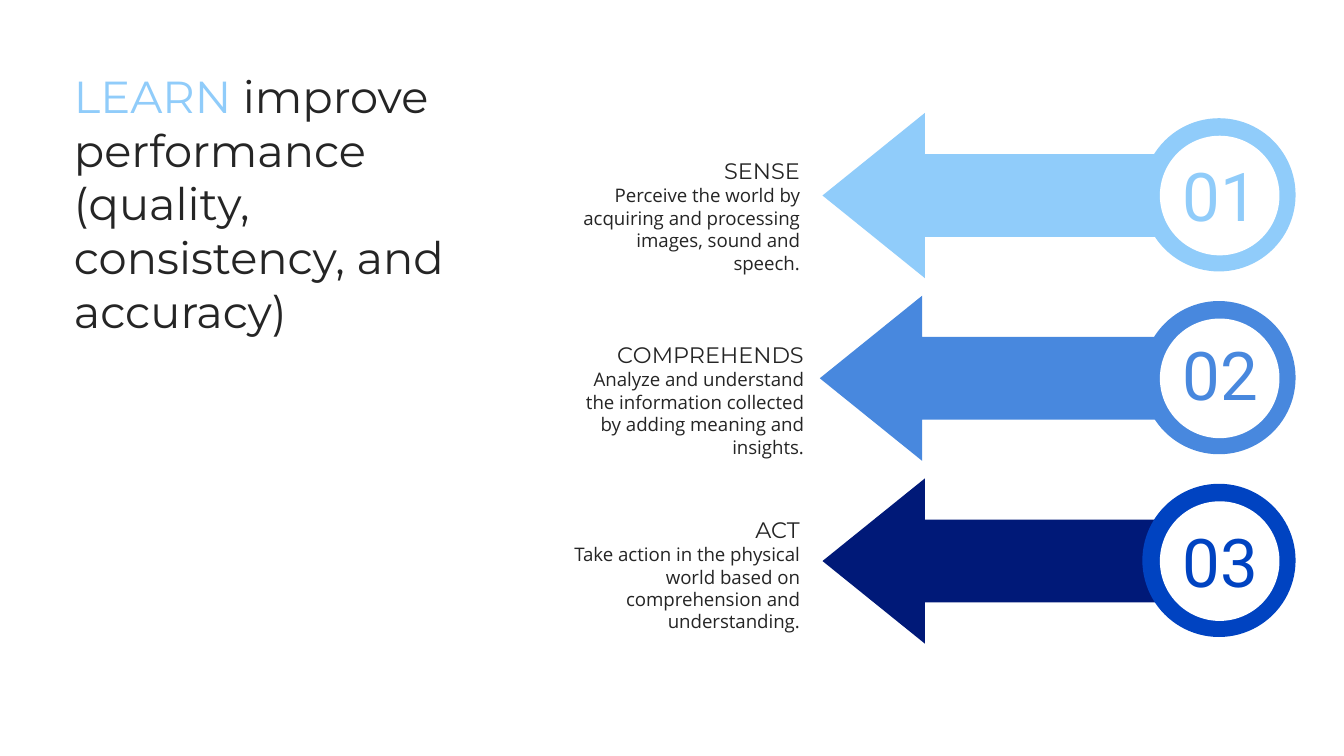
from pptx import Presentation
from pptx.dml.color import RGBColor
from pptx.enum.shapes import MSO_SHAPE
from pptx.enum.text import MSO_ANCHOR, MSO_AUTO_SIZE, PP_ALIGN
from pptx.util import Inches, Pt

COLORS = {"text": "252525", "white": "FFFFFF", "sky": "90CCFA",
          "blue": "4888DE", "navy": "001978", "royal": "0043C1"}

# 16:9 slide
prs = Presentation()
prs.slide_width = Inches(10)
prs.slide_height = Inches(10) * 9 // 16
slide = prs.slides.add_slide(prs.slide_layouts[5])


def add_solid(kind, left, top, width, height, color):
    shape = slide.shapes.add_shape(kind, Inches(left), Inches(top), Inches(width), Inches(height))
    shape.shadow.inherit = False
    shape.fill.solid()
    shape.fill.fore_color.rgb = RGBColor.from_string(COLORS[color])
    shape.line.fill.background()
    return shape


def fill_text(box, paragraphs, align, anchor=MSO_ANCHOR.TOP):
    """Each paragraph is a list of runs: (text, size, font, color)."""
    frame = box.text_frame
    frame.word_wrap = True
    frame.auto_size = MSO_AUTO_SIZE.NONE
    frame.vertical_anchor = anchor
    frame.margin_left = frame.margin_right = Inches(0.1)
    frame.margin_top = frame.margin_bottom = Inches(0.1)
    for i, runs in enumerate(paragraphs):
        paragraph = frame.add_paragraph() if i else frame.paragraphs[0]
        paragraph.alignment = align
        paragraph.line_spacing = 1.0
        paragraph.space_before = paragraph.space_after = Pt(0)
        for text, size, font, color in runs:
            run = paragraph.add_run()
            run.text = text
            run.font.size = Pt(size)
            run.font.name = font
            run.font.color.rgb = RGBColor.from_string(COLORS[color])


# Title
title = slide.shapes.title
title.left, title.top, title.width, title.height = map(Inches, (0.45, 0.41, 3.49, 1.13))
fill_text(title, [[
    ("LEARN ", 24, "Montserrat", "sky"),
    ("improve performance (quality, consistency, and accuracy)", 24, "Montserrat", "text"),
]], PP_ALIGN.LEFT)

# Steps: heading, description, text left, text top, text height,
# arrow left, number top, arrow color, ring color
steps = [
    ("SENSE", "Perceive the world by acquiring and processing images, sound and speech.",
     4.17, 1.07, 0.77, 6.12, 1.06, "sky", "sky"),
    ("COMPREHENDS", "Analyze and understand the information collected by adding meaning and insights.",
     4.2, 2.44, 0.74, 6.1, 2.39, "blue", "blue"),
    ("ACT", "Take action in the physical world based on comprehension and understanding.",
     4.17, 3.74, 1, 6.12, 3.78, "navy", "royal"),
]
for i, (heading, description, text_left, text_top, text_height,
        arrow_left, number_top, arrow_color, ring_color) in enumerate(steps):
    top = 0.84 + 1.36 * i

    # Arrow and ring
    arrow = add_solid(MSO_SHAPE.LEFT_ARROW, arrow_left, top, 2.8, 1.23, arrow_color)
    arrow.adjustments[0], arrow.adjustments[1] = 0.5, 0.62
    add_solid(MSO_SHAPE.OVAL, 8.5, top + 0.04, 1.14, 1.14, ring_color)
    add_solid(MSO_SHAPE.OVAL, 8.63, top + 0.17, 0.89, 0.89, "white")

    # Number
    number = slide.shapes.add_textbox(Inches(8.64), Inches(number_top), Inches(0.88), Inches(0.79))
    fill_text(number, [[(f"{i + 1:02}", 36, "Roboto", ring_color)]],
              PP_ALIGN.CENTER, MSO_ANCHOR.BOTTOM)

    # Heading and description
    label = slide.shapes.add_textbox(Inches(text_left), Inches(text_top),
                                     Inches(1.88), Inches(text_height))
    fill_text(label, [[(heading, 12, "Montserrat", "text")],
                      [(description, 10, "Open Sans", "text")]], PP_ALIGN.RIGHT)

prs.save("out.pptx")
